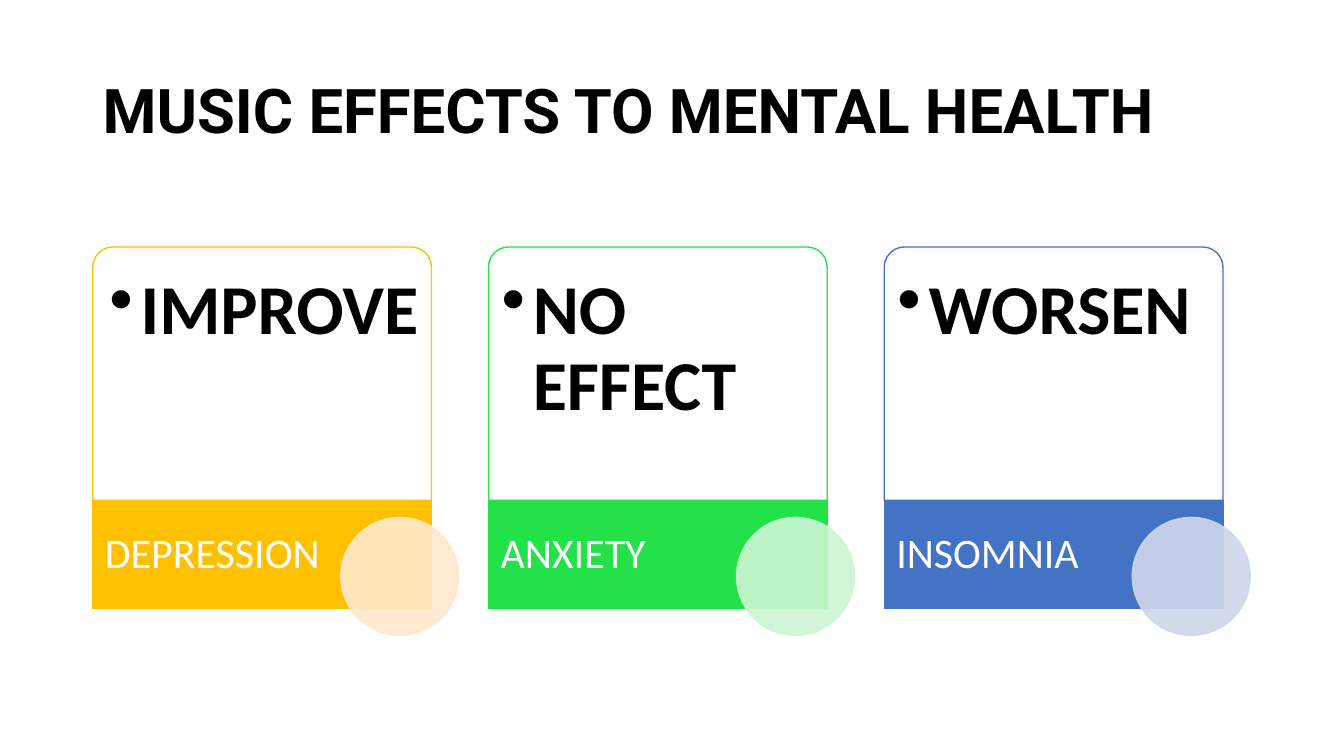
from lxml.etree import SubElement
from pptx import Presentation
from pptx.dml.color import RGBColor
from pptx.enum.shapes import MSO_SHAPE as Preset
from pptx.enum.text import MSO_ANCHOR as Anchor, PP_ALIGN as Align
from pptx.oxml.ns import qn
from pptx.util import Inches, Pt

BLACK = RGBColor(0x00, 0x00, 0x00)
WHITE = RGBColor(0xFF, 0xFF, 0xFF)
AMBER = RGBColor(0xFF, 0xC0, 0x00)
PEACH = RGBColor(0xFF, 0xE8, 0xCC)
GREEN = RGBColor(0x23, 0xE1, 0x48)
MINT = RGBColor(0xCC, 0xF6, 0xD3)
BLUE = RGBColor(0x44, 0x72, 0xC4)
MIST = RGBColor(0xCF, 0xD6, 0xEA)

SLIDE_WIDTH, SLIDE_HEIGHT = 13.33, 7.5
MARGIN = 0.92
CARD_TOP, CARD_WIDTH, CARD_HEIGHT = 2.45, 3.36, 3.59
CARD_PITCH = 3.925
BODY_SHARE = 0.7
LABEL_SHARE = 0.7
CIRCLE_SIZE = 1.17

CARDS = [
    ("IMPROVE", "DEPRESSION", AMBER, PEACH, Align.RIGHT),
    ("NO EFFECT", "ANXIETY", GREEN, MINT, Align.LEFT),
    ("WORSEN", "INSOMNIA", BLUE, MIST, Align.LEFT),
]


def make_translucent(fill_parent):
    color = fill_parent.find(qn("a:solidFill"))[0]
    SubElement(color, qn("a:alpha"), val="90000")


def add_panel(slide, preset, box, fill, line):
    panel = slide.shapes.add_shape(preset, *map(Inches, box))
    panel.shadow.inherit = False
    panel.fill.solid()
    panel.fill.fore_color.rgb = fill
    panel.line.color.rgb = line
    panel.line.width = Pt(1)
    return panel


def add_words(slide, box, words, font, size, color, bold, insets, anchor):
    frame = slide.shapes.add_textbox(*map(Inches, box)).text_frame
    frame.word_wrap = True
    frame.vertical_anchor = anchor
    (frame.margin_left, frame.margin_top,
     frame.margin_right, frame.margin_bottom) = map(Inches, insets)
    frame.text = words
    paragraph = frame.paragraphs[0]
    paragraph.line_spacing = 0.9
    style = paragraph.runs[0].font
    style.name, style.size, style.bold = font, Pt(size), bold
    style.color.rgb = color
    return paragraph


def add_bullet(paragraph):
    paragraph.level = 1
    properties = paragraph._p.get_or_add_pPr()
    properties.set("marL", str(Inches(0.31)))
    properties.set("indent", str(-Inches(0.31)))
    SubElement(properties, qn("a:buChar"), char="•")


def add_title(slide, box):
    add_words(slide, box, "MUSIC EFFECTS TO MENTAL HEALTH", "Roboto", 44,
              BLACK, True, (0.1, 0.05, 0.1, 0.05), Anchor.MIDDLE)


def add_card(slide, box, effect, condition, accent, tint, align):
    left, top, width, height = box
    body_height = height * BODY_SHARE
    band_top, band_height = top + body_height, height - body_height

    body = add_panel(slide, Preset.ROUND_2_SAME_RECTANGLE,
                     (left, top, width, body_height), WHITE, accent)
    body.adjustments[0] = 0.08
    make_translucent(body._element.spPr)
    inset = 0.06
    effect_box = (left + inset, top + inset, width - 2 * inset, body_height - inset)
    effect_line = add_words(slide, effect_box, effect, "Calibri", 50, BLACK, True,
                            (0.07, 0.21, 0.07, 0.07), Anchor.TOP)
    effect_line.alignment = align
    add_bullet(effect_line)

    add_panel(slide, Preset.RECTANGLE, (left, band_top, width, band_height), accent, accent)
    add_words(slide, (left, band_top, width * LABEL_SHARE, band_height), condition,
              "Calibri", 30, WHITE, False, (0.12, 0, 0.04, 0), Anchor.MIDDLE)

    circle_box = (left + width - 0.9, band_top + 0.17, CIRCLE_SIZE, CIRCLE_SIZE)
    circle = add_panel(slide, Preset.OVAL, circle_box, tint, tint)
    make_translucent(circle._element.spPr)
    make_translucent(circle._element.spPr.find(qn("a:ln")))


def main():
    deck = Presentation()
    deck.slide_width, deck.slide_height = Inches(SLIDE_WIDTH), Inches(SLIDE_HEIGHT)
    slide = deck.slides.add_slide(deck.slide_layouts[6])
    add_title(slide, (MARGIN, 0.4, SLIDE_WIDTH - 2 * MARGIN, 1.45))
    for column, card in enumerate(CARDS):
        left = MARGIN + column * CARD_PITCH
        add_card(slide, (left, CARD_TOP, CARD_WIDTH, CARD_HEIGHT), *card)
    deck.save("out.pptx")


if __name__ == "__main__":
    main()
